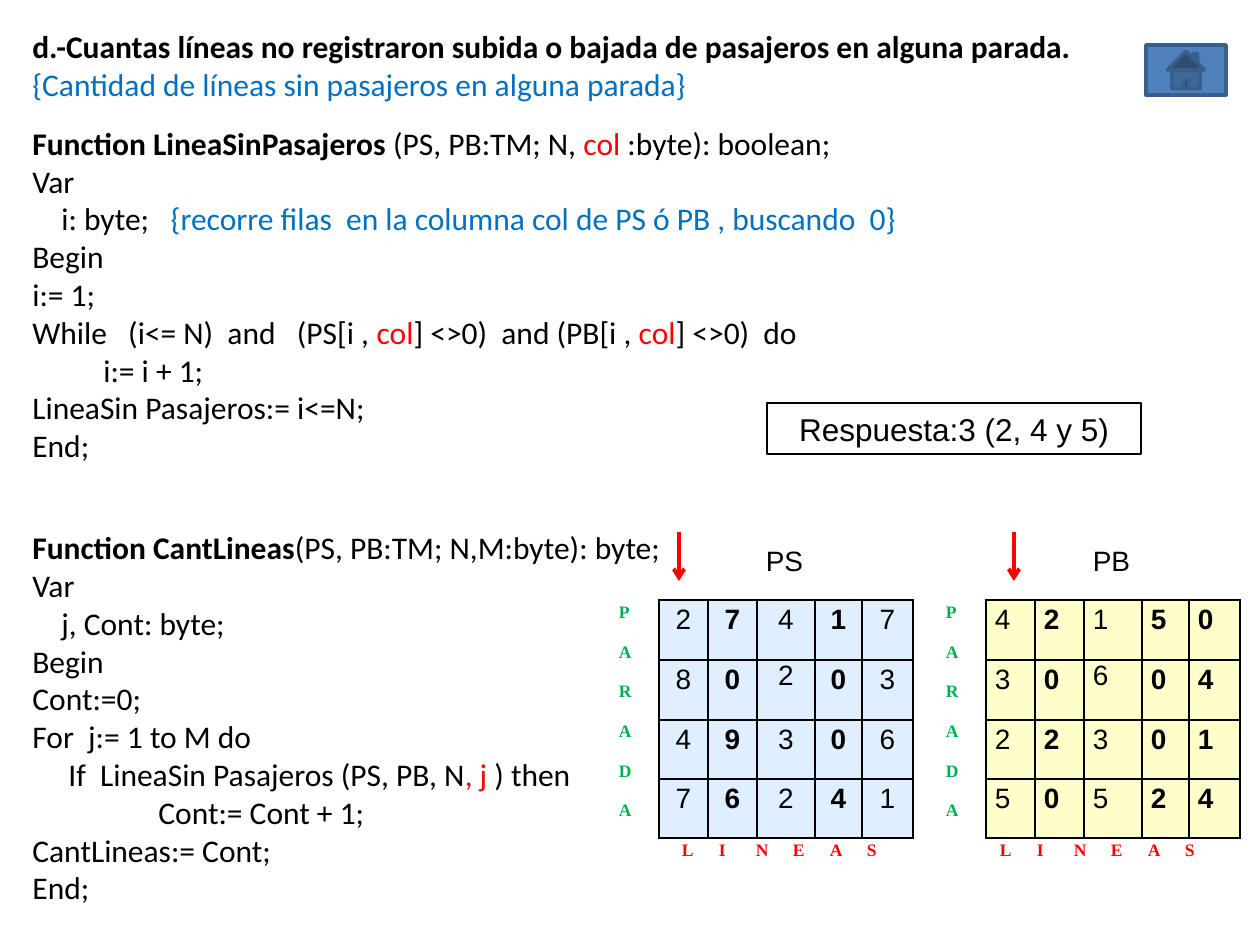
from lxml.etree import SubElement
from pptx import Presentation
from pptx.dml.color import RGBColor
from pptx.enum.shapes import MSO_CONNECTOR as CONNECTOR, MSO_SHAPE as SHAPE
from pptx.enum.text import MSO_ANCHOR as ANCHOR, MSO_AUTO_SIZE as AUTO_SIZE, PP_ALIGN as ALIGN
from pptx.oxml.ns import qn
from pptx.util import Pt

PX = 914400 / 126
BLACK = RGBColor(0x00, 0x00, 0x00)
RED = RGBColor(0xFF, 0x00, 0x00)
BLUE = RGBColor(0x00, 0x70, 0xC0)
GREEN = RGBColor(0x00, 0xB0, 0x50)
BUTTON_FILL = RGBColor(0x4F, 0x81, 0xBD)
BUTTON_LINE = RGBColor(0x3A, 0x5F, 0x8C)
PS_FILL = RGBColor(0x99, 0xCC, 0xFF)
PB_FILL = RGBColor(0xFF, 0xFF, 0xCC)

NO_STYLE = "{2D5ABB26-0587-4C30-8999-92F81FD0307C}"
CODE_FONT = {"name": "Calibri", "size": Pt(18), "bold": False}
ANSWER_FONT = {"name": "Arial", "size": Pt(18)}
DIGIT_FONT = {"name": "Arial", "size": Pt(16), "bold": False}
LABEL_FONT = {"name": "Times New Roman", "size": Pt(10), "bold": True}
SPACED = {"line_spacing": 1.15, "space_after": Pt(10)}
EDGES = {"a:lnL": (0, -1), "a:lnR": (0, 1), "a:lnT": (-1, 0), "a:lnB": (1, 0)}
COLUMNS = (49, 49, 49, 58, 47, 51, 64)
ROWS = (58, 60, 60, 59, 59, 40)

STYLES = {"text": (BLACK, {}), "bold": (BLACK, {"bold": True}), "red": (RED, {}), "blue": (BLUE, {})}

CHECK_FUNCTION = [
    (0, 0, [("bold", "d.-Cuantas líneas no registraron subida o bajada de pasajeros en alguna parada.")]),
    (0, 0, [("blue", "{Cantidad de líneas sin pasajeros en alguna parada}")]),
    (0, 12, [("bold", "Function LineaSinPasajeros "), ("text", "(PS, PB:TM; N, "),
             ("red", "col"), ("text", " :byte): boolean;")]),
    (0, 0, [("text", "Var")]),
    (29, 0, [("text", "i: byte;   "),
             ("blue", "{recorre filas  en la columna col de PS ó PB , buscando  0}")]),
    (0, 0, [("text", "Begin")]),
    (0, 0, [("text", "i:= 1;")]),
    (0, 0, [("text", "While   (i<= N)  and   (PS[i , "), ("red", "col"),
            ("text", "] <>0)  and (PB[i , "), ("red", "col"), ("text", "] <>0)  do")]),
    (71, 0, [("text", "i:= i + 1;")]),
    (0, 0, [("text", "LineaSin Pasajeros:= i<=N;")]),
    (0, 0, [("text", "End;")]),
]
COUNT_FUNCTION = [
    (0, 0, [("bold", "Function CantLineas"), ("text", "(PS, PB:TM; N,M:byte): byte;")]),
    (0, 0, [("text", "Var")]),
    (29, 0, [("text", "j, Cont: byte;")]),
    (0, 0, [("text", "Begin")]),
    (0, 0, [("text", "Cont:=0;")]),
    (0, 0, [("text", "For  j:= 1 to M do")]),
    (36, 0, [("text", "If  LineaSin Pasajeros (PS, PB, N"), ("red", ", j "), ("text", ") then")]),
    (126, 0, [("text", "Cont:= Cont + 1;")]),
    (0, 0, [("text", "CantLineas:= Cont;")]),
    (0, 0, [("text", "End;")]),
]
PS = {"name": "PS", "fill": PS_FILL, "alpha": 30, "align": ALIGN.CENTER,
      "bold": (1, 3), "axis": 14, "digits": ("27417", "80203", "49306", "76241")}
PB = {"name": "PB", "fill": PB_FILL, "alpha": 100, "align": ALIGN.JUSTIFY,
      "bold": (1, 3, 4), "axis": 5, "digits": ("42150", "30604", "22301", "50524")}


def px(length):
    """Turn a length in px into EMU."""
    return round(length * PX)


def assign(target, values):
    """Set each attribute of the target from a dict."""
    for name, value in values.items():
        setattr(target, name, value)


def add_run(paragraph, text, color, *formats):
    """Append a run with a colour and font values."""
    run = paragraph.add_run()
    run.text = text
    run.font.color.rgb = color
    for values in formats:
        assign(run.font, values)


def next_paragraph(frame, index):
    """Return the first paragraph of the frame or a new one."""
    return frame.add_paragraph() if index else frame.paragraphs[0]


def add_code(slide, box, lines):
    """Write a block of code with indents and coloured runs."""
    frame = slide.shapes.add_textbox(*map(px, box)).text_frame
    assign(frame, {"word_wrap": True, "auto_size": AUTO_SIZE.SHAPE_TO_FIT_TEXT})
    for index, (indent, gap, runs) in enumerate(lines):
        paragraph = next_paragraph(frame, index)
        paragraph.space_before = Pt(gap)
        paragraph._p.get_or_add_pPr().set("marL", str(px(indent)))
        for style, text in runs:
            color, values = STYLES[style]
            add_run(paragraph, text, color, CODE_FONT, values)


def add_box(slide, kind, box, line_color, line_width):
    """Draw an outlined preset shape without shadow or fill."""
    shape = slide.shapes.add_shape(kind, *map(px, box))
    shape.shadow.inherit = False
    shape.fill.background()
    shape.line.color.rgb = line_color
    shape.line.width = Pt(line_width)
    return shape


def add_home_button(slide, box):
    """Draw the home button."""
    button = add_box(slide, SHAPE.ACTION_BUTTON_HOME, box, BUTTON_LINE, 2)
    button.fill.solid()
    button.fill.fore_color.rgb = BUTTON_FILL


def add_answer(slide, box):
    """Draw the framed answer."""
    frame = add_box(slide, SHAPE.RECTANGLE, box, BLACK, 0.75).text_frame
    assign(frame, {"word_wrap": True, "vertical_anchor": ANCHOR.MIDDLE})
    frame.paragraphs[0].alignment = ALIGN.CENTER
    add_run(frame.paragraphs[0], "Respuesta:3 (2, 4 y 5)", BLACK, ANSWER_FONT)


def add_arrow(slide, x, top, bottom):
    """Draw a red arrow pointing down."""
    arrow = slide.shapes.add_connector(CONNECTOR.STRAIGHT, *map(px, (x, top, x, bottom)))
    arrow.line.color.rgb = RED
    arrow.line.width = Pt(2.25)
    SubElement(arrow.line._get_or_add_ln(), qn("a:tailEnd"), type="arrow")
    SubElement(arrow._element.spPr, qn("a:effectLst"))


def in_grid(row, column):
    """Tell whether a cell belongs to the digits."""
    return 1 <= row <= 4 and 1 <= column <= 5


def format_cell(cell, row, column, matrix):
    """Set the margins, borders and fill of a cell."""
    assign(cell, {"margin_left": px(9), "margin_right": px(9), "margin_top": 0, "margin_bottom": 0})
    properties = cell._tc.get_or_add_tcPr()
    for tag, (down, across) in EDGES.items():
        if in_grid(row, column) or in_grid(row + down, column + across):
            line = SubElement(properties, qn(tag), w=str(Pt(1)))
            SubElement(SubElement(line, qn("a:solidFill")), qn("a:srgbClr"), val=str(BLACK))
    if not in_grid(row, column):
        cell.fill.background()
        return
    cell.fill.solid()
    cell.fill.fore_color.rgb = matrix["fill"]
    color = properties.find(qn("a:solidFill")).find(qn("a:srgbClr"))
    SubElement(color, qn("a:alpha"), val=str(matrix["alpha"] * 1000))


def add_axis(paragraph, offset):
    """Spread the column label over tab stops."""
    assign(paragraph, SPACED)
    stops = SubElement(paragraph._p.get_or_add_pPr(), qn("a:tabLst"))
    for index in range(len("LINEAS")):
        SubElement(stops, qn("a:tab"), pos=str(px(offset + 37 * index)), algn="l")
    add_run(paragraph, "".join("\t" + letter for letter in "LINEAS"), RED, LABEL_FONT)


def add_matrix(slide, left, top, matrix):
    """Draw a matrix of digits with its name and both axis labels."""
    box = (left, top, sum(COLUMNS), sum(ROWS))
    table = slide.shapes.add_table(len(ROWS), len(COLUMNS), *map(px, box)).table
    assign(table, {"first_row": False, "horz_banding": False})
    table._tbl.tblPr.find(qn("a:tableStyleId")).text = NO_STYLE
    for column, width in zip(table.columns, COLUMNS):
        column.width = px(width)
    for row, height in zip(table.rows, ROWS):
        row.height = px(height)
    for row in range(len(ROWS)):
        for column in range(len(COLUMNS)):
            format_cell(table.cell(row, column), row, column, matrix)
    table.cell(1, 0).merge(table.cell(4, 0))
    table.cell(5, 1).merge(table.cell(5, 5))
    name = table.cell(0, 3).text_frame.paragraphs[0]
    assign(name, SPACED)
    add_run(name, matrix["name"], BLACK, DIGIT_FONT)
    for index, letter in enumerate("PARADA"):
        paragraph = next_paragraph(table.cell(1, 0).text_frame, index)
        assign(paragraph, SPACED)
        add_run(paragraph, letter, GREEN, LABEL_FONT)
    for row, digits in enumerate(matrix["digits"]):
        for column, digit in enumerate(digits):
            paragraph = table.cell(row + 1, column + 1).text_frame.paragraphs[0]
            paragraph.alignment = matrix["align"]
            assign(paragraph, {} if (row, column) == (1, 2) else SPACED)
            add_run(paragraph, digit, BLACK, DIGIT_FONT, {"bold": column in matrix["bold"]})
    add_axis(table.cell(5, 1).text_frame.paragraphs[0], matrix["axis"])


def main():
    """Build the slide and save it."""
    presentation = Presentation()
    assign(presentation, {"slide_width": px(1260), "slide_height": px(945)})
    slide = presentation.slides.add_slide(presentation.slide_layouts[6])
    add_code(slide, (20, 21, 1135, 471), CHECK_FUNCTION)
    add_code(slide, (20, 522, 699, 394), COUNT_FUNCTION)
    add_home_button(slide, (1146, 45, 80, 50))
    for left, arrow, matrix in ((610, 679, PS), (937, 1014, PB)):
        add_matrix(slide, left, 542, matrix)
        add_arrow(slide, arrow, 532, 581)
    add_answer(slide, (767, 403, 374, 51))
    presentation.save("out.pptx")


if __name__ == "__main__":
    main()
